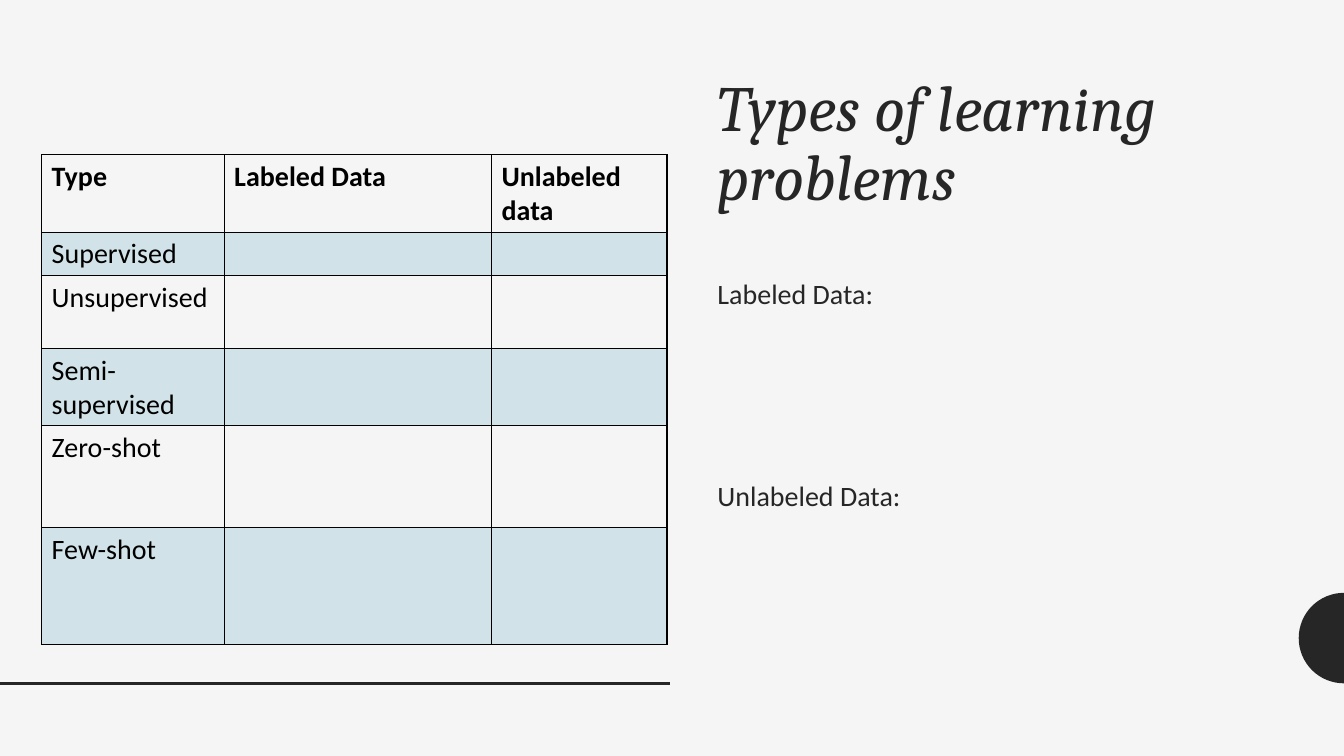
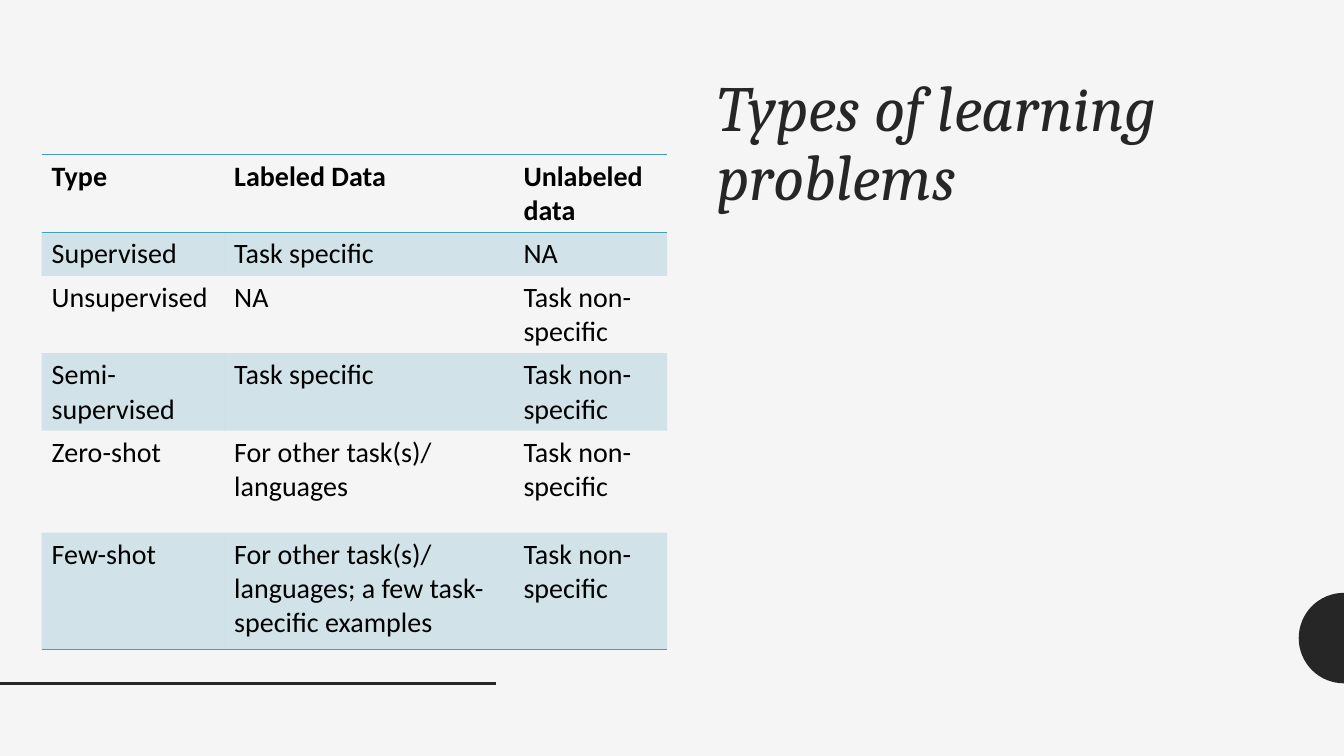
"""Build two slides that compare types of learning problems by the data they use."""
from math import cos, pi, sin

from lxml.etree import SubElement
from pptx import Presentation
from pptx.dml.color import RGBColor
from pptx.enum.shapes import MSO_CONNECTOR
from pptx.oxml.ns import qn
from pptx.util import Cm, Pt

THEME = {
    "background": "F5F5F5",
    "ink": "262626",
    "accent": "439EB7",
    "black": "000000",
    "band_alpha": 20,
    "title": {"name": "Cambria", "size": Pt(46), "italic": True},
    "body": {"name": "Calibri", "size": Pt(20)},
    "header": {"name": "Calibri", "size": Pt(20), "bold": True},
    "rule_width": Pt(2),
    "border_width": Pt(1),
}
NO_STYLE = "{2D5ABB26-0587-4C30-8999-92F81FD0307C}"
SLIDE_WIDTH, SLIDE_HEIGHT = 33.87, 19.05
RULE_TOP = 17.22
DISC_RADIUS = 1.14
DISC_STEPS = 32
TEXT_LEFT, TEXT_WIDTH = 17.83, 14.25
TABLE_LEFT, TABLE_TOP = 1.05, 3.9
ROW_HEIGHTS = [1.83, 1.07, 1.83, 1.83, 2.57, 2.95]
HEADERS = ["Type", "Labeled Data", "Unlabeled data"]
TYPES = ["Supervised", "Unsupervised", "Semi-supervised", "Zero-shot", "Few-shot"]

SLIDES = [
    {
        "rule_end": 16.89,
        "columns": [4.6, 6.74, 4.42],
        "grid": True,
        "answers": [["", ""]] * len(TYPES),
        "notes": [("Labeled Data:", 0), ("Unlabeled Data:", 117.5)],
    },
    {
        "rule_end": 12.5,
        "columns": [4.6, 7.29, 3.87],
        "grid": False,
        "answers": [
            ["Task specific", "NA"],
            ["NA", "Task non-specific"],
            ["Task specific", "Task non-specific"],
            ["For other task(s)/ languages", "Task non-specific"],
            ["For other task(s)/ languages; a few task-specific examples", "Task non-specific"],
        ],
        "notes": [],
    },
]


def write(paragraph, text, style, color):
    run = paragraph.add_run()
    run.text = text
    for name, value in THEME[style].items():
        setattr(run.font, name, value)
    run.font.color.rgb = RGBColor.from_string(THEME[color])


def set_border(cell, side, color):
    properties = cell._tc.get_or_add_tcPr()
    line = SubElement(properties, qn(f"a:ln{side}"), w=str(THEME["border_width"]))
    if color:
        fill = SubElement(line, qn("a:solidFill"))
        SubElement(fill, qn("a:srgbClr"), val=THEME[color])
    else:
        SubElement(line, qn("a:noFill"))


presentation = Presentation()
presentation.slide_width = Cm(SLIDE_WIDTH)
presentation.slide_height = Cm(SLIDE_HEIGHT)

for content in SLIDES:
    slide = presentation.slides.add_slide(presentation.slide_layouts[6])
    slide.background.fill.solid()
    slide.background.fill.fore_color.rgb = RGBColor.from_string(THEME["background"])

    rule = slide.shapes.add_connector(
        MSO_CONNECTOR.STRAIGHT, 0, Cm(RULE_TOP), Cm(content["rule_end"]), Cm(RULE_TOP)
    )
    rule.line.color.rgb = RGBColor.from_string(THEME["ink"])
    rule.line.width = THEME["rule_width"]
    SubElement(rule._element.spPr, qn("a:effectLst"))

    angles = [pi * step / DISC_STEPS for step in range(DISC_STEPS + 1)]
    disc_points = [
        (
            Cm(SLIDE_WIDTH - DISC_RADIUS * sin(angle)),
            Cm(RULE_TOP - DISC_RADIUS + DISC_RADIUS * cos(angle)),
        )
        for angle in angles
    ]
    builder = slide.shapes.build_freeform(*disc_points[0])
    builder.add_line_segments(disc_points[1:], close=True)
    disc = builder.convert_to_shape()
    disc.shadow.inherit = False
    disc.fill.solid()
    disc.fill.fore_color.rgb = RGBColor.from_string(THEME["ink"])
    disc.line.fill.background()

    title = slide.shapes.add_textbox(Cm(TEXT_LEFT), Cm(1.78), Cm(TEXT_WIDTH), Cm(4.52))
    title.text_frame.word_wrap = True
    paragraph = title.text_frame.paragraphs[0]
    paragraph.line_spacing = 0.9
    write(paragraph, "Types of learning problems", "title", "ink")

    if content["notes"]:
        body = slide.shapes.add_textbox(Cm(TEXT_LEFT), Cm(6.73), Cm(TEXT_WIDTH), Cm(10.57))
        body.text_frame.word_wrap = True
        for index, (text, space_before) in enumerate(content["notes"]):
            frame = body.text_frame
            paragraph = frame.add_paragraph() if index else frame.paragraphs[0]
            paragraph.line_spacing = 1.12
            paragraph.space_before = Pt(space_before)
            write(paragraph, text, "body", "ink")

    rows = [HEADERS] + [[kind, *answers] for kind, answers in zip(TYPES, content["answers"])]
    table = slide.shapes.add_table(
        len(rows), len(HEADERS), Cm(TABLE_LEFT), Cm(TABLE_TOP),
        Cm(sum(content["columns"])), Cm(sum(ROW_HEIGHTS)),
    ).table
    table._tbl.tblPr.find(qn("a:tableStyleId")).text = NO_STYLE
    for column, width in zip(table.columns, content["columns"]):
        column.width = Cm(width)

    last_row = len(rows) - 1
    for row_index, row in enumerate(rows):
        table.rows[row_index].height = Cm(ROW_HEIGHTS[row_index])
        accent_sides = {0: "TB", 1: "T", last_row: "B"}.get(row_index, "")
        for column_index, text in enumerate(row):
            cell = table.cell(row_index, column_index)
            if text:
                style = "body" if row_index else "header"
                write(cell.text_frame.paragraphs[0], text, style, "black")
            for side in "LRTB":
                accent = "accent" if side in accent_sides else None
                set_border(cell, side, "black" if content["grid"] else accent)
            if row_index % 2:
                cell.fill.solid()
                cell.fill.fore_color.rgb = RGBColor.from_string(THEME["accent"])
                color = cell._tc.tcPr.find(qn("a:solidFill")).find(qn("a:srgbClr"))
                SubElement(color, qn("a:alpha"), val=str(THEME["band_alpha"] * 1000))
            else:
                cell.fill.background()

presentation.save("out.pptx")
